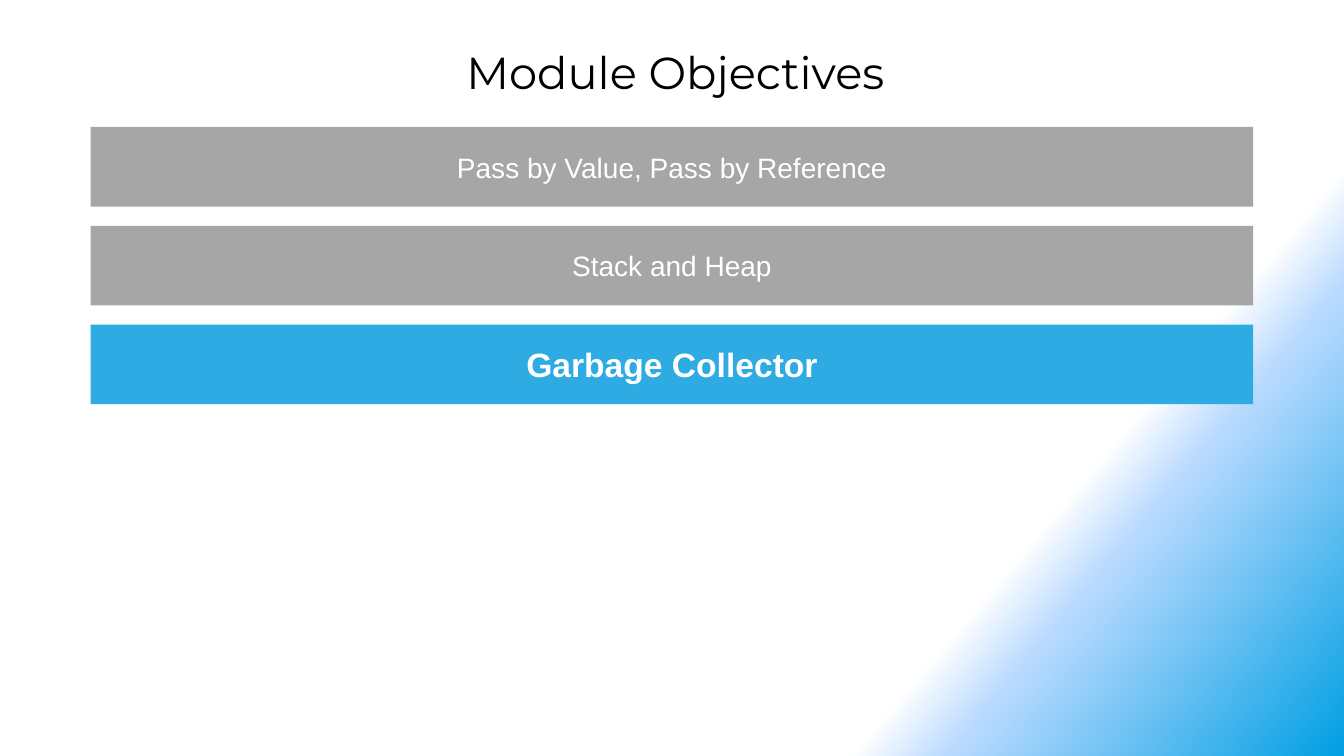
from copy import deepcopy

from pptx import Presentation
from pptx.dml.color import RGBColor
from pptx.enum.shapes import MSO_SHAPE
from pptx.enum.text import MSO_ANCHOR, PP_ALIGN
from pptx.oxml.ns import qn
from pptx.util import Inches, Pt

RECT = MSO_SHAPE.RECTANGLE
MIDDLE = MSO_ANCHOR.MIDDLE
CENTER = PP_ALIGN.CENTER
COLORS = {
    "white": "FFFFFF",
    "black": "000000",
    "gray": "A6A6A6",
    "blue": "2EABE2",
    "pale": "B9DAFF",
    "deep": "009FE3",
}


class Deck:
    """Holds the style and the current slide."""

    def __init__(self):
        self.file = Presentation()
        self.file.slide_width = Inches(13.33)
        self.file.slide_height = Inches(7.5)
        self.slide = self.file.slides.add_slide(self.file.slide_layouts[6])

    def color(self, name):
        return RGBColor.from_string(COLORS[name])

    def backdrop(self, stops, angle):
        fill = self.slide.background.fill
        fill.gradient()
        fill.gradient_angle = angle
        items = self.slide.element.find(".//" + qn("a:gsLst"))
        while len(items) < len(stops):
            items.append(deepcopy(items[-1]))
        for stop, (place, name) in zip(fill.gradient_stops, stops):
            stop.position = place
            stop.color.rgb = self.color(name)

    def label(self, shape, text, size, font, color, bold=False):
        frame = shape.text_frame
        frame.word_wrap = True
        frame.vertical_anchor = MIDDLE
        line = frame.paragraphs[0]
        line.alignment = CENTER
        run = line.add_run()
        run.text = text
        run.font.size = Pt(size)
        run.font.name = font
        run.font.bold = bold
        run.font.color.rgb = self.color(color)

    def title(self, box, text):
        shape = self.slide.shapes.add_textbox(*map(Inches, box))
        self.label(shape, text, 32, "Montserrat", "black")

    def bar(self, box, text, active):
        shape = self.slide.shapes.add_shape(RECT, *map(Inches, box))
        shape.shadow.inherit = False
        shape.fill.solid()
        shape.fill.fore_color.rgb = self.color("blue" if active else "gray")
        shape.line.fill.background()
        self.label(shape, text, 24 if active else 20, "Arial", "white", active)


def main():
    deck = Deck()
    deck.backdrop([(0.75, "white"), (0.8, "pale"), (1, "deep")], 320)
    topics = ["Pass by Value, Pass by Reference", "Stack and Heap", "Garbage Collector"]
    for row, topic in enumerate(topics):
        deck.bar((0.9, 1.26 + row * 0.98, 11.53, 0.79), topic, topic == topics[-1])
    deck.title((0.67, 0.39, 12.06, 0.64), "Module Objectives")
    deck.file.save("out.pptx")


if __name__ == "__main__":
    main()
